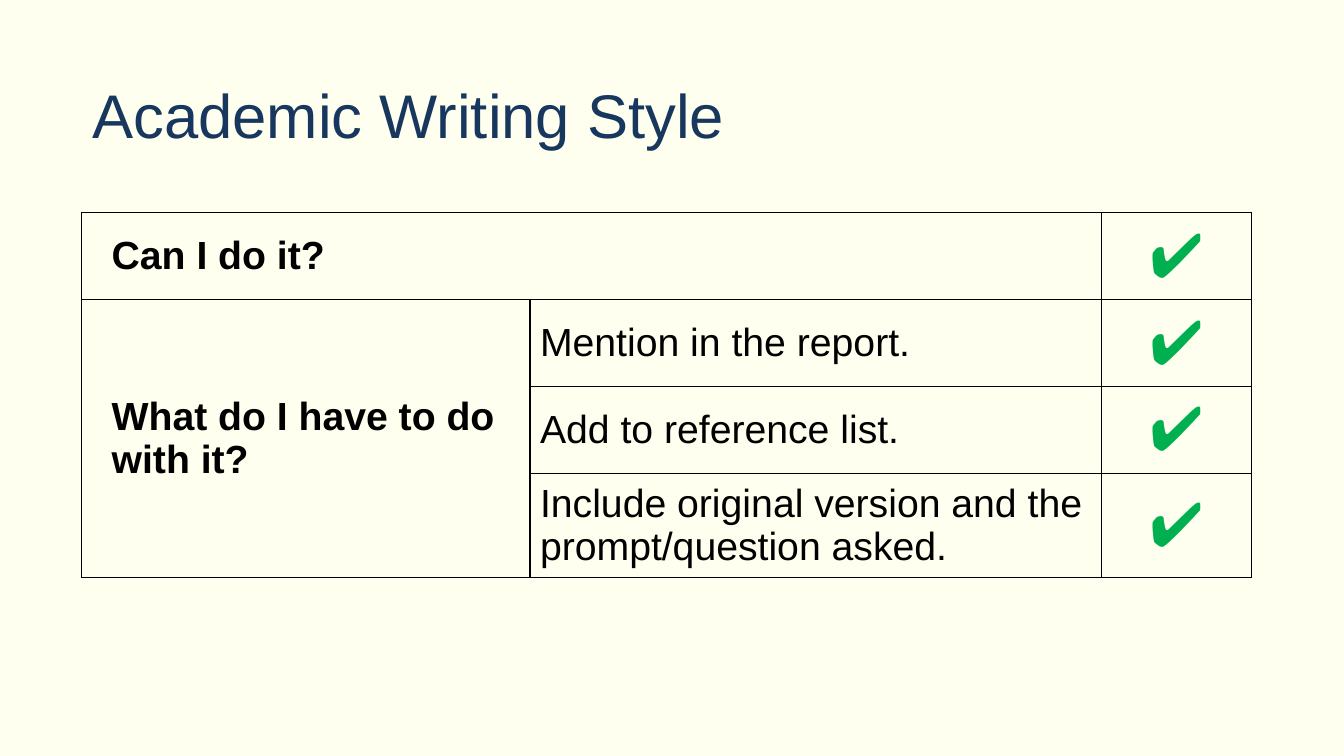
from lxml.etree import SubElement
from pptx import Presentation
from pptx.dml.color import RGBColor
from pptx.enum.text import MSO_ANCHOR, PP_ALIGN
from pptx.oxml.ns import qn
from pptx.util import Pt

COLORS = {"background": "FFFFEF", "title": "17375E", "text": "000000",
          "check": "00B050", "border": "000000"}
FONT = "Arial"
COLUMN_WIDTHS = [320.4, 408.2, 107.2]
ROW_HEIGHT = 62.1
REQUIREMENTS = ["Mention in the report.", "Add to reference list.",
                "Include original version and the prompt/question asked."]


def add_run(paragraph, text, size, color, bold=False):
    run = paragraph.add_run()
    run.text = text
    run.font.name = FONT
    run.font.size = Pt(size)
    run.font.bold = bold
    run.font.color.rgb = RGBColor.from_string(COLORS[color])


def add_title(slide, text):
    title = slide.shapes.add_textbox(Pt(66), Pt(28.8), Pt(828), Pt(104.4))
    frame = title.text_frame
    frame.word_wrap = True
    frame.vertical_anchor = MSO_ANCHOR.MIDDLE
    frame.margin_left = frame.margin_right = 0
    frame.margin_top = frame.margin_bottom = 0
    add_run(frame.paragraphs[0], text, 44, "title")


def style_cell(cell):
    """Clear the fill and draw a thin line on all four sides."""
    properties = cell._tc.get_or_add_tcPr()
    for side in ("a:lnL", "a:lnR", "a:lnT", "a:lnB"):
        line = SubElement(properties, qn(side), w=str(Pt(1)))
        fill = SubElement(line, qn("a:solidFill"))
        SubElement(fill, qn("a:srgbClr"), val=COLORS["border"])
    cell.fill.background()
    cell.vertical_anchor = MSO_ANCHOR.MIDDLE


def write_question(cell, text):
    paragraph = cell.text_frame.paragraphs[0]
    paragraph._p.get_or_add_pPr().set("marL", str(Pt(14.4)))
    add_run(paragraph, text, 28, "text", bold=True)


def write_requirement(cell, text):
    add_run(cell.text_frame.paragraphs[0], text, 28, "text")


def write_check(cell):
    paragraph = cell.text_frame.paragraphs[0]
    paragraph.alignment = PP_ALIGN.CENTER
    add_run(paragraph, "✔", 44, "check")


def add_checklist(slide):
    row_count = len(REQUIREMENTS) + 1
    checklist = slide.shapes.add_table(
        row_count, len(COLUMN_WIDTHS), Pt(58.2), Pt(151.7),
        Pt(sum(COLUMN_WIDTHS)), Pt(ROW_HEIGHT * row_count)).table
    checklist.first_row = checklist.horz_banding = False
    for column, width in zip(checklist.columns, COLUMN_WIDTHS):
        column.width = Pt(width)
    for row in checklist.rows:
        row.height = Pt(ROW_HEIGHT)
        for cell in row.cells:
            style_cell(cell)
        write_check(row.cells[2])

    checklist.cell(0, 0).merge(checklist.cell(0, 1))
    checklist.cell(1, 0).merge(checklist.cell(row_count - 1, 0))
    write_question(checklist.cell(0, 0), "Can I do it?")
    write_question(checklist.cell(1, 0), "What do I have to do with it?")
    for index, requirement in enumerate(REQUIREMENTS, start=1):
        write_requirement(checklist.cell(index, 1), requirement)


def main():
    presentation = Presentation()
    presentation.slide_width = Pt(960)
    presentation.slide_height = Pt(540)
    slide = presentation.slides.add_slide(presentation.slide_layouts[6])
    background = slide.background.fill
    background.solid()
    background.fore_color.rgb = RGBColor.from_string(COLORS["background"])
    add_title(slide, "Academic Writing Style")
    add_checklist(slide)
    presentation.save("out.pptx")


if __name__ == "__main__":
    main()
